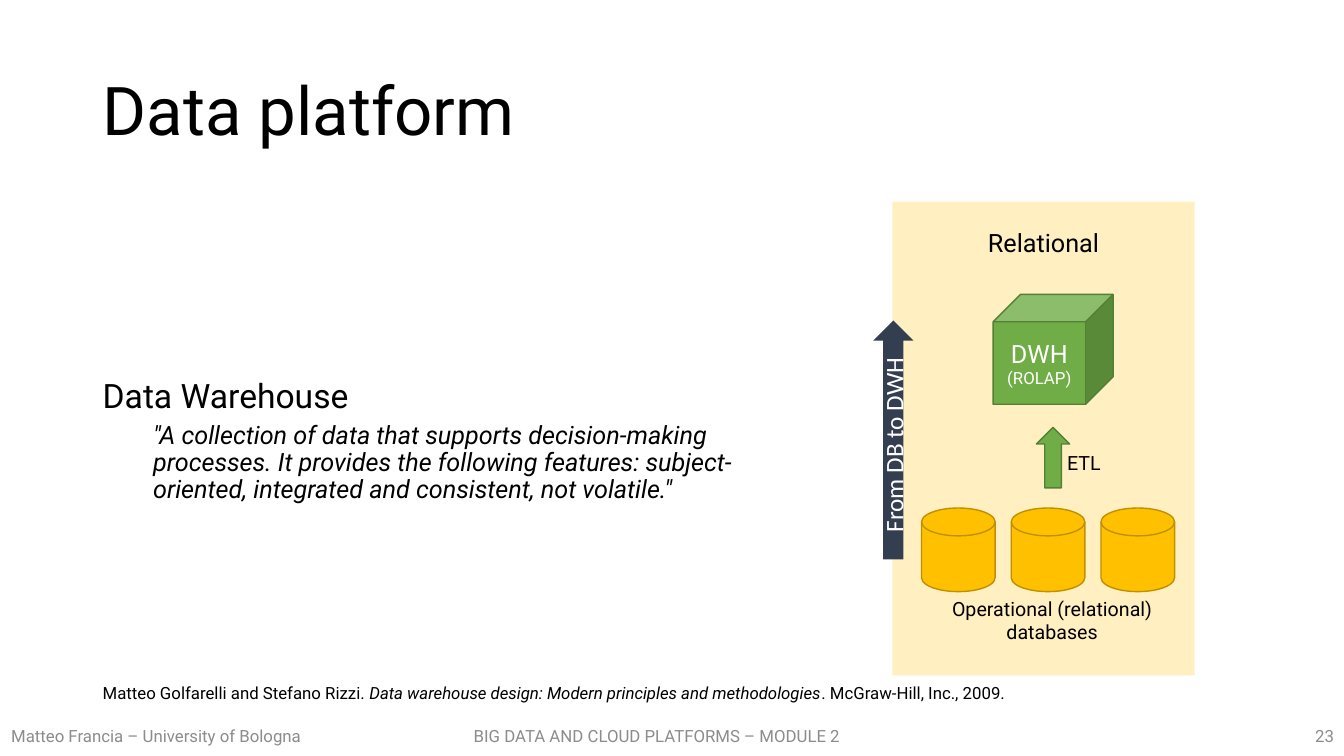
"""Build the slide on the data warehouse in a data platform."""
from lxml import etree
from pptx import Presentation, util as u
from pptx.dml.color import RGBColor
from pptx.enum import shapes, text
from pptx.oxml.ns import qn

COLORS = {
    "black": "000000", "white": "FFFFFF", "gray": "8C8C8C",
    "sand": "FFD966", "gold": "FFC000", "bronze": "BF9000",
    "green": "70AD47", "moss": "538035", "navy": "333F50",
}
KIND = shapes.MSO_SHAPE
ALIGN = text.PP_ALIGN
MIDDLE = text.MSO_ANCHOR.MIDDLE
TOP = text.MSO_ANCHOR.TOP


def color(name):
    """Return the named colour."""
    return RGBColor.from_string(COLORS[name])


def apply(target, values):
    """Set each attribute of the target from the format values."""
    for key, value in values.items():
        setattr(target, key, value)


class Deck:
    """Hold the style and the current slide."""

    def __init__(self):
        """Start a wide deck with one titled slide."""
        self.font = "Roboto"
        self.prs = Presentation()
        apply(self.prs, {"slide_width": u.Inches(13.33), "slide_height": u.Inches(7.5)})
        self.slide = self.prs.slides.add_slide(self.prs.slide_layouts[5])

    def put(self, frame, paras, size, ink="black", font=None, align=ALIGN.LEFT,
            anchor=MIDDLE, wrap=True):
        """Fill a frame with paragraphs, each a list of runs and its format."""
        apply(frame, {"word_wrap": wrap, "vertical_anchor": anchor,
                      "auto_size": text.MSO_AUTO_SIZE.NONE})
        for index, (runs, layout) in enumerate(paras):
            para = frame.add_paragraph() if index else frame.paragraphs[0]
            apply(para, {"alignment": align, **layout})
            for words, extra in runs:
                for row, line in enumerate(words.split("\n")):
                    if row:
                        para.add_line_break()
                    run = para.add_run()
                    run.text = line
                    apply(run.font, {"name": font or self.font, "size": u.Pt(size), **extra})
                    run.font.color.rgb = color(ink)

    def title(self, words, box):
        """Place and format the title."""
        head = self.slide.shapes.title
        apply(head, dict(zip(("left", "top", "width", "height"), map(u.Inches, box))))
        self.put(head.text_frame, [([(words, {})], {"line_spacing": 0.9})], 48)

    def text(self, paras, box, size, **style):
        """Add a text box and return its paragraphs."""
        frame = self.slide.shapes.add_textbox(*map(u.Inches, box)).text_frame
        self.put(frame, paras, size, **style)
        return frame.paragraphs

    def label(self, words, box, size, **style):
        """Add a text box with one plain paragraph."""
        self.text([([(words, {})], {})], box, size, **style)

    def shape(self, kind, box, fill, line=None):
        """Add a filled shape with an optional outline."""
        item = self.slide.shapes.add_shape(kind, *map(u.Inches, box))
        item.shadow.inherit = False
        item.fill.solid()
        item.fill.fore_color.rgb = color(fill)
        if line:
            item.line.color.rgb = color(line)
            item.line.width = u.Pt(1)
        else:
            item.line.fill.background()
        return item

    def panel(self, words, box, fill, alpha):
        """Add a translucent panel headed by its name."""
        item = self.shape(KIND.RECTANGLE, box, fill)
        tint = item.fill._xPr.find(".//" + qn("a:srgbClr"))
        etree.SubElement(tint, qn("a:alpha"), val=str(alpha * 1000))
        item.text_frame.margin_top = u.Inches(0.26)
        self.put(item.text_frame, [([(words, {})], {})], 18, align=ALIGN.CENTER, anchor=TOP)


def main():
    """Build and save the slide."""
    deck = Deck()
    deck.title("Data platform", (0.92, 0.4, 11.5, 1.45))

    quote = ('"A collection of data that supports decision-making processes. It provides '
             'the following features: subject-oriented, integrated and consistent, not volatile."')
    paras = deck.text([
        ([("Data Warehouse", {})], {"line_spacing": 0.9}),
        ([(quote, {"size": u.Pt(18), "italic": True})],
         {"line_spacing": 0.9, "space_before": u.Pt(5), "level": 1}),
    ], (0.92, 2, 7.35, 4.76), 24)
    paras[1]._p.get_or_add_pPr().set("marL", str(u.Inches(0.5)))

    deck.text([([
        ("Matteo Golfarelli and Stefano Rizzi. ", {}),
        ("Data warehouse design: Modern principles and methodologies", {"italic": True}),
        (". McGraw-Hill, Inc., 2009.", {}),
    ], {"line_spacing": 0.9})], (0.92, 6.69, 11.5, 0.4), 12)

    for words, left, width, align in (
        ("Matteo Francia – University of Bologna", 0, 3.1, ALIGN.CENTER),
        ("BIG DATA AND CLOUD PLATFORMS – MODULE 2", 4.6, 4.13, ALIGN.LEFT),
        ("23", 10.33, 3, ALIGN.RIGHT),
    ):
        deck.label(words, (left, 7.1, width, 0.4), 12, ink="gray", align=align)

    deck.panel("Relational", (8.85, 2, 3, 4.7), "sand", 40)
    for index in range(3):
        deck.shape(KIND.FLOWCHART_MAGNETIC_DISK, (9.14 + 0.89 * index, 5.04, 0.73, 0.83),
                   "gold", "bronze")
    deck.shape(KIND.UP_ARROW, (10.28, 4.24, 0.33, 0.6), "green", "moss")
    for words, box in (
        ("Operational (relational)\ndatabases", (9.34, 5.87, 2.19, 0.57)),
        ("ETL", (10.47, 4.42, 0.56, 0.34)),
    ):
        deck.label(words, box, 14, align=ALIGN.CENTER, anchor=TOP, wrap=False)

    cube = deck.shape(KIND.CUBE, (9.85, 2.92, 1.19, 1.09), "green", "moss")
    deck.put(cube.text_frame, [([("DWH", {})], {}), ([("(ROLAP)", {"size": u.Pt(12)})], {})],
             18, ink="white", align=ALIGN.CENTER)

    arrow = deck.shape(KIND.UP_ARROW, (8.66, 3.18, 0.4, 2.37), "navy")
    deck.put(arrow.text_frame, [([("From DB to DWH", {})], {})], 18, ink="white",
             font="Calibri", align=ALIGN.CENTER)
    arrow.text_frame._txBody.bodyPr.set("vert", "vert270")

    deck.prs.save("out.pptx")


if __name__ == "__main__":
    main()
